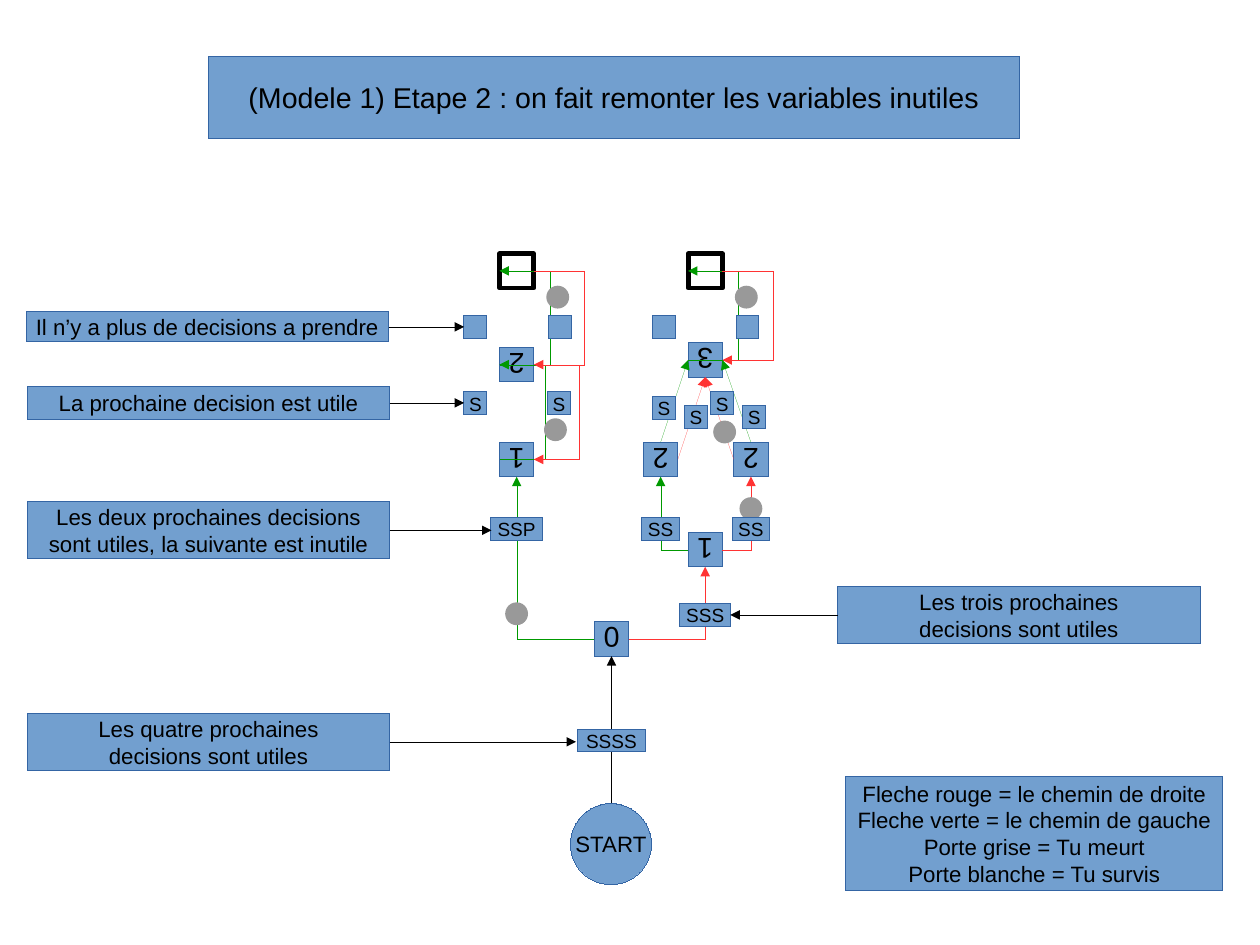
from pptx import Presentation
from pptx.dml.color import RGBColor
from pptx.enum.shapes import MSO_CONNECTOR, MSO_SHAPE
from pptx.enum.text import MSO_ANCHOR, PP_ALIGN
from pptx.oxml.ns import qn
from pptx.util import Cm, Emu, Inches, Pt
from lxml import etree

RECT, OVAL = MSO_SHAPE.RECTANGLE, MSO_SHAPE.OVAL
STRAIGHT, ELBOW = MSO_CONNECTOR.STRAIGHT, MSO_CONNECTOR.ELBOW
BLUE, EDGE, GREY = "729FCF", "3465A4", "999999"
BLACK, WHITE, GREEN, RED = "000000", "FFFFFF", "009900", "FF3333"
HAIRLINE = Emu(1)  # thinnest explicit line
ROOM, DOOR = 0.3, 0.2
HALF = ROOM / 2
LEFT, START_X, RIGHT = 4.52, 5.35, 6.17  # column centres of the maze
RIGHT_A, RIGHT_B = 5.78, 6.57
LOOP_WIDTH = 360  # EMU between the ends of a looping connector

prs = Presentation()
prs.slide_width, prs.slide_height = Cm(28), Cm(21)
s = prs.slides.add_slide(prs.slide_layouts[5])


def style(sp, text="", size=14, fill=BLUE, line=EDGE, width=HAIRLINE):
    """Fill and outline a shape, then centre its text."""
    sp.fill.solid()
    sp.fill.fore_color.rgb = RGBColor.from_string(fill)
    if line:
        sp.line.color.rgb = RGBColor.from_string(line)
        sp.line.width = width
    else:
        sp.line.fill.background()
    tf = sp.text_frame
    tf.word_wrap = False
    tf.vertical_anchor = MSO_ANCHOR.MIDDLE
    if text:
        tf.text = text
    for p in tf.paragraphs:
        p.alignment = PP_ALIGN.CENTER
        p.font.name, p.font.size = "Arial", Pt(size)
        p.font.color.rgb = RGBColor.from_string(BLACK)


def arrow(x1, y1, x2, y2, color=BLACK, kind=STRAIGHT, loop=0):
    """Draw an arrow; loop is how far an elbow swings out to the right."""
    side = (LOOP_WIDTH if y2 > y1 else -LOOP_WIDTH) if loop else 0
    c = s.shapes.add_connector(kind, Inches(x1), Inches(y1),
                               Emu(Inches(x2) + side), Inches(y2))
    c.line.color.rgb = RGBColor.from_string(color)
    c.line.width = HAIRLINE
    spPr = c._element.spPr
    etree.SubElement(spPr.find(qn("a:ln")), qn("a:tailEnd"), type="triangle")
    etree.SubElement(spPr, qn("a:effectLst"))
    if kind == ELBOW:
        geom, xfrm = spPr.find(qn("a:prstGeom")), spPr.find(qn("a:xfrm"))
        if xfrm.get("flipH") and xfrm.get("flipV"):
            del xfrm.attrib["flipH"], xfrm.attrib["flipV"]
            xfrm.set("rot", "10800000")
        if loop:
            ratio = round(Inches(loop) / side * 100000)
            etree.SubElement(geom.find(qn("a:avLst")), qn("a:gd"),
                             name="adj1", fmla=f"val {ratio}")
        else:
            geom.set("prst", "bentConnector2")


title = s.shapes.title
title.left, title.top = Inches(1.82), Inches(0.49)
title.width, title.height = Inches(7.1), Inches(0.72)
style(title, "(Modele 1) Etape 2 : on fait remonter les variables inutiles", 18)

# Rooms, upside down: centre and number; the exits have none
for x, y, number in [
    (RIGHT_B, 4.02, "2"), (RIGHT, 3.15, "3"), (RIGHT, 2.37, ""),
    (RIGHT_A, 4.02, "2"), (RIGHT, 4.81, "1"), (LEFT, 2.37, ""),
    (LEFT, 3.19, "2"), (LEFT, 4.02, "1"), (START_X, 5.59, "0"),
]:
    sp = s.shapes.add_shape(RECT, Inches(x - HALF), Inches(y - HALF),
                            Inches(ROOM), Inches(ROOM))
    sp.shadow.inherit = False
    sp.rotation = 180
    if number:
        style(sp, number, 18)
    else:
        style(sp, fill=WHITE, line=BLACK, width=Pt(3))

# Corridors that turn one corner
for x1, y1, x2, y2, color in [
    (START_X - HALF, 5.59, LEFT, 4.17, GREEN),
    (START_X + HALF, 5.59, RIGHT, 4.96, RED),
    (RIGHT - HALF, 4.81, RIGHT_A, 4.17, GREEN),
    (RIGHT + HALF, 4.81, RIGHT_B, 4.17, RED),
]:
    arrow(x1, y1, x2, y2, color, ELBOW)

# Each loop pairs a green way up with a red way back down
for x, top, bottom, swing in [
    (LEFT, 3.19, 4.02, 0.2), (LEFT, 2.37, 3.19, 0.22), (RIGHT, 2.37, 3.15, 0.22),
]:
    arrow(x - HALF, bottom, x - HALF, top, GREEN, ELBOW, swing)
    arrow(x + HALF, top, x + HALF, bottom, RED, ELBOW, swing)

# Slanted corridors into room 3
for x, side in [(RIGHT_A, -1), (RIGHT_B, 1)]:
    arrow(x, 3.87, RIGHT + side * HALF, 3.15, GREEN)
    arrow(x - side * HALF, 4.02, RIGHT, 3.3, RED)

arrow(START_X, 7.03, START_X, 5.74)
start = s.shapes.add_shape(OVAL, Inches(4.99), Inches(7.03), Inches(0.71), Inches(0.71))
start.shadow.inherit = False
style(start, "START")

# Grey doors
for x, y in [(6.57, 4.45), (4.52, 5.37), (6.34, 3.78),
             (4.86, 3.76), (4.88, 2.6), (6.53, 2.6)]:
    door = s.shapes.add_shape(OVAL, Inches(x - DOOR / 2), Inches(y - DOOR / 2),
                              Inches(DOOR), Inches(DOOR))
    door.shadow.inherit = False
    style(door, fill=GREY, line=None)

# Remaining decisions on each corridor: centre and letters
TAG_WIDTHS = [0.2, 0.2, 0.33, 0.45, 0.6]
for x, y, letters in [
    (4.16, 2.86, ""), (4.9, 2.86, ""), (5.81, 2.86, ""), (6.54, 2.86, ""),
    (4.16, 3.53, "S"), (4.89, 3.53, "S"), (5.81, 3.57, "S"),
    (6.09, 3.65, "S"), (6.32, 3.53, "S"), (6.6, 3.65, "S"),
    (5.78, 4.63, "SS"), (6.57, 4.63, "SS"), (LEFT, 4.63, "SSP"),
    (RIGHT, 5.38, "SSS"), (START_X, 6.48, "SSSS"),
]:
    w = TAG_WIDTHS[len(letters)]
    tag = s.shapes.add_shape(RECT, Inches(x - w / 2), Inches(y - DOOR / 2),
                             Inches(w), Inches(DOOR))
    tag.shadow.inherit = False
    style(tag, letters, 12)

# Explanations: box, text and the x their arrow points to
for x, y, w, h, text, target in [
    (7.33, 5.13, 3.17, 0.5, "Les trois prochaines\ndecisions sont utiles", 6.39),
    (0.24, 3.38, 3.17, 0.29, "La prochaine decision est utile", 4.06),
    (0.23, 2.73, 3.17, 0.26, "Il n’y a plus de decisions a prendre", 4.06),
    (0.24, 4.39, 3.17, 0.5,
     "Les deux prochaines decisions\nsont utiles, la suivante est inutile", 4.3),
    (0.24, 6.24, 3.17, 0.5, "Les quatre prochaines\ndecisions sont utiles", 5.04),
    (7.4, 6.79, 3.3, 1,
     "Fleche rouge = le chemin de droite\nFleche verte = le chemin de gauche\n"
     "Porte grise = Tu meurt\nPorte blanche = Tu survis", None),
]:
    note = s.shapes.add_shape(RECT, Inches(x), Inches(y), Inches(w), Inches(h))
    note.shadow.inherit = False
    style(note, text)
    if target:
        arrow(x if target < x else x + w, y + h / 2, target, y + h / 2)

prs.save("out.pptx")
